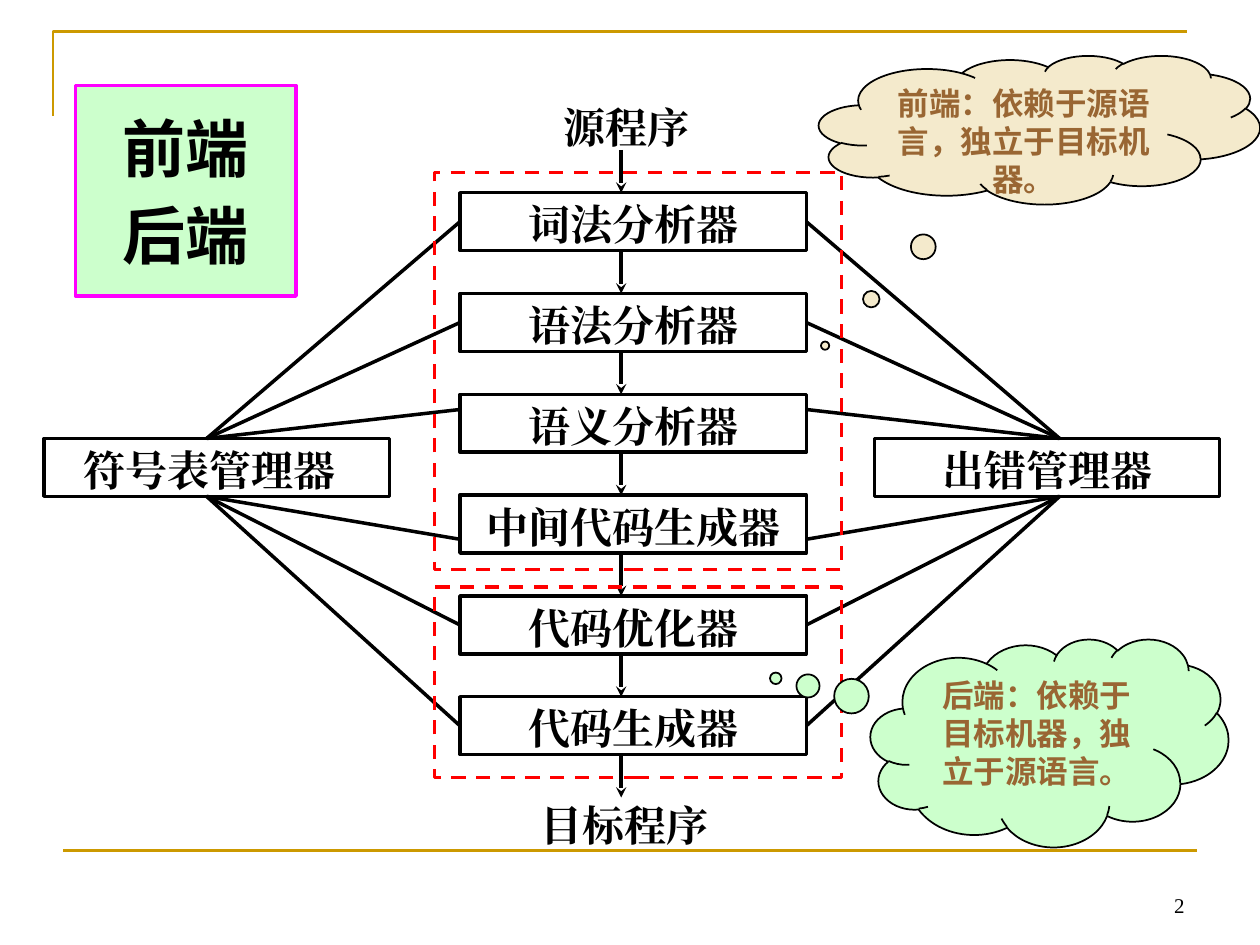
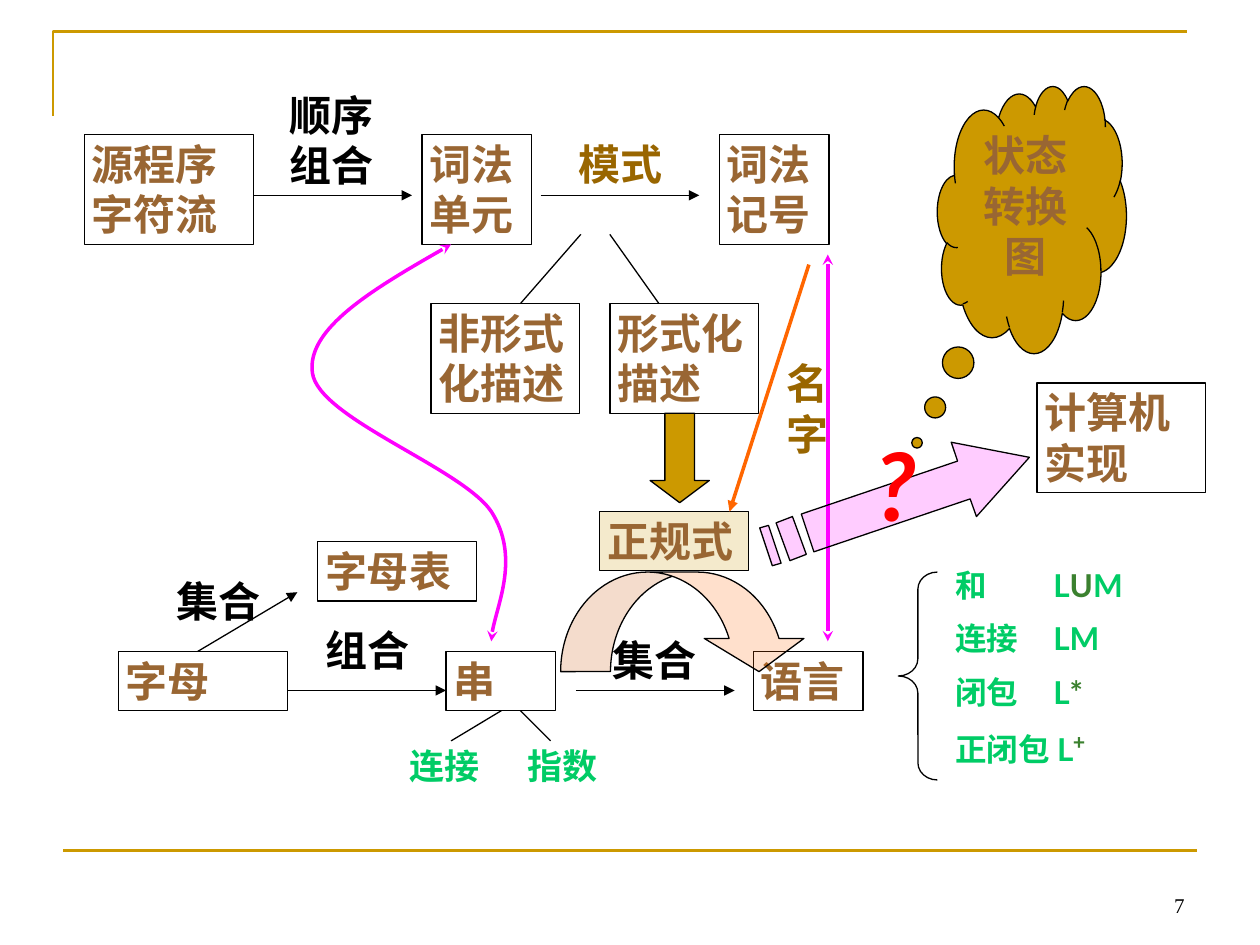
from dataclasses import dataclass
from typing import Any

from lxml import etree
from pptx import Presentation
from pptx.dml.color import RGBColor
from pptx.enum.dml import MSO_LINE
from pptx.enum.shapes import MSO_CONNECTOR, MSO_SHAPE as Preset
from pptx.enum.text import MSO_ANCHOR as Anchor, PP_ALIGN as Align
from pptx.oxml.ns import qn
from pptx.util import Inches, Pt

BLACK, GOLD, BROWN, OLIVE = "000000", "CC9900", "996633", "996600"
MAGENTA, RED, ORANGE = "FF00FF", "FF0000", "FF6600"
MINT, GREEN, DARK_GREEN = "CCFFCC", "00CC66", "3B812F"
LEFT_SIDE, RIGHT_SIDE = 1, 3
NARROW, ROOMY = (0.06, 0.03, 0.06, 0.03), (0.1, 0.05, 0.1, 0.05)
TERM_HEIGHT = {1: 0.47, 2: 0.87}


@dataclass
class Region:
    """A box on a page; everything placed in it is measured from its corner."""
    page: Any
    left: float = 0
    top: float = 0
    width: float = 10
    height: float = 7.5

    def point(self, x, y):
        return Inches(self.left + x), Inches(self.top + y)


def rgb(code):
    return RGBColor.from_string(code)


def set_line(shape, color=BLACK, weight=0.75, dash=None, head=None, tail=None):
    shape.line.color.rgb = rgb(color)
    shape.line.width = Pt(weight)
    if dash:
        shape.line.dash_style = dash
    outline = shape.element.spPr.find(qn("a:ln"))
    for tag, kind in (("a:headEnd", head), ("a:tailEnd", tail)):
        if kind:
            etree.SubElement(outline, qn(tag)).set("type", kind)


def set_fill(shape, color=None, opacity=100):
    if color is None:
        shape.fill.background()
        return
    shape.fill.solid()
    shape.fill.fore_color.rgb = rgb(color)
    if opacity < 100:
        tint = shape.element.spPr.find(qn("a:solidFill")).find(qn("a:srgbClr"))
        etree.SubElement(tint, qn("a:alpha")).set("val", str(opacity * 1000))


def write(shape, *paragraphs, size=24, font="Lato", color=BROWN, bold=True, italic=False,
          align=Align.LEFT, anchor=Anchor.TOP, insets=NARROW, wrap=True, gap=0, tab=None):
    """Fill a shape with paragraphs; each is a string or a list of (text, overrides)."""
    frame = shape.text_frame
    frame.word_wrap = wrap
    frame.vertical_anchor = anchor
    (frame.margin_left, frame.margin_top,
     frame.margin_right, frame.margin_bottom) = map(Inches, insets)
    for index, content in enumerate(paragraphs):
        para = frame.add_paragraph() if index else frame.paragraphs[0]
        para.alignment = align
        if index and gap:
            para.space_before = Pt(gap)
        if tab:
            tabs = etree.SubElement(para._p.get_or_add_pPr(), qn("a:tabLst"))
            etree.SubElement(tabs, qn("a:tab"), pos=str(Inches(tab)), algn="l")
        for text, changes in [(content, {})] if isinstance(content, str) else content:
            style = dict(size=size, font=font, color=color, raised=0) | changes
            span = para.add_run()
            span.text = text
            span.font.size = Pt(style["size"])
            span.font.bold, span.font.italic = bold, italic
            span.font.color.rgb = rgb(style["color"])
            span.font.name = style["font"]
            properties = span._r.get_or_add_rPr()
            etree.SubElement(properties, qn("a:ea")).set("typeface", style["font"])
            if style["raised"]:
                properties.set("baseline", str(style["raised"] * 1000))


def add_preset(region, kind, x, y, width, height, fill=None, opacity=100, adjust=(), **line):
    shape = region.page.shapes.add_shape(
        kind, *region.point(x, y), Inches(width), Inches(height))
    shape.shadow.inherit = False
    for index, value in enumerate(adjust):
        shape.adjustments[index] = value
    set_fill(shape, fill, opacity)
    set_line(shape, **line)
    return shape


def add_text(region, x, y, width, height, *paragraphs, **style):
    label = region.page.shapes.add_textbox(
        *region.point(x, y), Inches(width), Inches(height))
    write(label, *paragraphs, **style)


def add_line(region, start, end, **line):
    link = region.page.shapes.add_connector(
        MSO_CONNECTOR.STRAIGHT, *region.point(*start), *region.point(*end))
    set_line(link, **line)
    etree.SubElement(link.element.spPr, qn("a:effectLst"))
    return link


def add_outline(region, *contours, closed=False, fill=None, opacity=100, **line):
    builder = region.page.shapes.build_freeform(*region.point(*contours[0][0]))
    for index, contour in enumerate(contours):
        if index:
            builder.move_to(*region.point(*contour[0]))
        builder.add_line_segments([region.point(*spot) for spot in contour[1:]], close=closed)
    shape = builder.convert_to_shape()
    shape.shadow.inherit = False
    set_fill(shape, fill, opacity)
    set_line(shape, **line)
    return shape


def bend(shape):
    """Turn each three straight segments into one Bezier curve."""
    segments = list(shape.element.iter(qn("a:lnTo")))
    for index in range(0, len(segments), 3):
        curve = etree.Element(qn("a:cubicBezTo"))
        segments[index].addprevious(curve)
        for segment in segments[index:index + 3]:
            curve.append(segment[0])
            segment.getparent().remove(segment)


def add_page(deck, number):
    """Add a page with the gold rules and the page number."""
    page = deck.slides.add_slide(deck.slide_layouts[6])
    region = Region(page)
    add_outline(region, [(0.42, 0.92), (0.42, 0.25), (9.42, 0.25)], color=GOLD, weight=1.5)
    add_line(region, (0.5, 6.75), (9.5, 6.75), color=GOLD, weight=1.5)
    add_text(region, 7.17, 6.83, 2.33, 0.5, str(number), size=12, font="Times New Roman",
             color=BLACK, bold=False, align=Align.RIGHT, anchor=Anchor.BOTTOM, insets=ROOMY)
    return page


def add_cloud(region, text, fill, adjust, opacity=100, weight=1.0, **style):
    cloud = add_preset(region, Preset.CLOUD_CALLOUT, 0, 0, region.width, region.height,
                       fill, opacity, adjust, weight=weight)
    write(cloud, text, align=Align.CENTER, **style)


def draw_compiler(region):
    """Six phases in a column, with a manager on either side linked to all of them."""
    phases = ["词法分析器", "语法分析器", "语义分析器", "中间代码生成器", "代码优化器", "代码生成器"]
    pitch, width, height, left, first = 0.8, 2.75, 0.46, 3.3, 0.77
    label = dict(font="Times New Roman", color=BLACK, align=Align.CENTER)

    def add_part(x, y, part_width, text, insets=ROOMY):
        part = add_preset(region, Preset.RECTANGLE, x, y, part_width, height, weight=2)
        write(part, text, insets=insets, **label)
        return part

    tops = [first + pitch * index for index in range(len(phases))]
    boxes = [add_part(left, top, width, phase) for phase, top in zip(phases, tops)]
    add_text(region, 3.25, 0, 2.75, height, "源程序", insets=ROOMY, **label)
    add_text(region, 3.42, 5.54, 2.38, height, "目标程序", insets=ROOMY, **label)
    for top in [first - pitch] + tops:
        add_line(region, (4.58, top + height), (4.58, top + pitch), weight=2, tail="stealth")

    manager_top = 2.72
    sides = [("符号表管理器", 0, 1.29, left, LEFT_SIDE, (0.1, 0.05, 0.22, 0.05)),
             ("出错管理器", 6.59, 8.06, left + width, RIGHT_SIDE, ROOMY)]
    for name, x, hub, edge, side, insets in sides:
        add_part(x, manager_top, 2.74, name, insets)
        for index, (box, top) in enumerate(zip(boxes, tops)):
            shift = {2: -0.11, 3: 0.12}.get(index, 0)
            hub_y = manager_top + (0 if index < 3 else height)
            link = add_line(region, (edge, top + height / 2 + shift), (hub, hub_y), weight=2)
            if not shift:
                link.begin_connect(box, side)


def draw_ends(region):
    """Heading box and the dashed frames around the front end and the back end."""
    heading = add_preset(region, Preset.RECTANGLE, 0, 0, 1.75, 1.67, MINT,
                         color=MAGENTA, weight=2)
    write(heading, "前端", "后端", size=36, font="Courier New", color=BLACK, gap=7, wrap=False,
          align=Align.CENTER, anchor=Anchor.MIDDLE, insets=ROOMY)
    for top, height in ((0.69, 3.15), (3.98, 1.51)):
        add_preset(region, Preset.RECTANGLE, 2.85, top, 3.23, height,
                   color=RED, weight=2, dash=MSO_LINE.DASH)


def add_term(region, x, y, width, text, lines=1, **fill):
    term = add_preset(region, Preset.RECTANGLE, x, y, width, TERM_HEIGHT[lines], **fill)
    write(term, text)


def draw_tokens(region):
    """From the character stream to tokens, and from patterns to regular expressions."""
    for x, y, width, text in ((0, 0.39, 1.34, "源程序字符流"), (2.68, 0.39, 0.87, "词法单元"),
                              (5.04, 0.39, 0.87, "词法记号"), (2.75, 1.73, 1.18, "非形式化描述"),
                              (4.17, 1.73, 1.18, "形式化描述")):
        add_term(region, x, y, width, text, lines=2)
    add_term(region, 4.09, 3.38, 1.18, "正规式", fill=GOLD, opacity=20)
    add_text(region, 1.57, 0, 0.79, 1.66, "顺序组合", color=BLACK)
    add_text(region, 3.86, 0.39, 0.79, 0.86, "模式", color=OLIVE)
    for x in (1.34, 3.62):
        add_line(region, (x, 0.87), (x + 1.26, 0.87), tail="triangle")
    add_line(region, (3.94, 1.18), (3.46, 1.73))
    add_line(region, (4.17, 1.18), (4.56, 1.73))
    add_preset(region, Preset.DOWN_ARROW, 4.49, 2.6, 0.47, 0.71, GOLD, adjust=(0.5, 0.375))


def draw_alphabet(region):
    """From letters to strings and languages."""
    for x, y, width, text in ((0, 0.87, 1.34, "字母"), (2.6, 0.87, 0.87, "串"),
                              (5.04, 0.87, 0.87, "语言"), (1.58, 0, 1.26, "字母表")):
        add_term(region, x, y, width, text)
    for x, y, text in ((1.58, 0.63, "组合"), (3.86, 0.71, "集合"), (0.4, 0.24, "集合")):
        add_text(region, x, y, 0.79, 0.86, text, color=BLACK)
    for x in (1.34, 3.63):
        add_line(region, (x, 1.18), (x + 1.26, 1.18), tail="triangle")
    add_line(region, (0.63, 0.87), (1.42, 0.4), tail="triangle")
    add_line(region, (3.04, 1.34), (2.64, 1.58))
    add_line(region, (3.19, 1.34), (3.43, 1.58))
    add_text(region, 2.25, 1.58, 2.2, 0.4, "连接\t指数", size=20, color=GREEN, tab=0.94)


def draw_relations(region):
    """Links between the token row and the alphabet row."""
    add_preset(region, Preset.CURVED_DOWN_ARROW, 2.02, 2.6, 1.97, 0.79, ORANGE, 20,
               (0.501, 1.001, 0.333))
    add_line(region, (3.99, 0.16), (3.36, 2.12), color=ORANGE, weight=2, tail="triangle")
    add_text(region, 3.75, 0.87, 0.35, 0.86, "名字", color=OLIVE)
    both_ends = dict(color=MAGENTA, weight=2, head="stealth", tail="stealth")
    bend(add_outline(region, [(1.15, 0), (0.57, 0.33), (0, 0.67), (0.05, 1.02),
                              (0.1, 1.38), (1.23, 1.77), (1.47, 2.12),
                              (1.7, 2.48), (1.47, 2.96), (1.47, 3.15)], **both_ends))
    add_line(region, (4.14, 0.08), (4.14, 3.15), **both_ends)


def draw_operations(region):
    """Braced list of the operations on languages."""
    add_preset(region, Preset.LEFT_BRACE, 0, 0.08, 0.31, 1.65, adjust=(0.439, 0.5))
    dark = dict(color=DARK_GREEN)
    plus = dict(size=20, font="Noto Sans CJK SC", raised=30, **dark)
    add_text(region, 0.39, 0, 1.73, 1.72,
             [("和\tL", {}), ("U", dark), ("M", {})], "连接\tLM",
             [("闭包\tL", {}), ("*", dark)], [("正闭包 L", {}), ("+", plus)],
             size=18, color=GREEN, gap=9, tab=0.78)


def draw_implementation(region):
    """Striped arrow with a question mark, leading to the computer."""
    add_outline(region,
                [(1.53, 0.15), (1.58, 0.3), (0.34, 0.72), (0.44, 1.02),
                 (1.68, 0.6), (1.73, 0.74), (2.15, 0.27)],
                [(0.14, 0.79), (0.25, 1.09), (0.38, 1.04), (0.27, 0.74)],
                [(0.01, 0.83), (0.11, 1.13), (0.18, 1.11), (0.08, 0.81)],
                closed=True, fill=MAGENTA, opacity=20)
    add_text(region, 0.87, 0, 0.87, 0.96, "?", size=54, color=RED, italic=True)
    add_term(region, 2.21, -0.32, 1.34, "计算机实现", lines=2)


def main():
    deck = Presentation()
    deck.slide_width, deck.slide_height = Inches(10), Inches(7.5)

    phases = add_page(deck, 2)
    note = dict(size=18, insets=ROOMY)
    add_cloud(Region(phases, 6.5, 0.44, 3.5, 1.18), "前端：依赖于源语言，独立于目标机器。",
              GOLD, (-0.486, 1.452), opacity=20, **note)
    draw_compiler(Region(phases, 0.35, 0.76, 9.33, 6))
    draw_ends(Region(phases, 0.6, 0.68, 6.08, 5.49))
    add_cloud(Region(phases, 6.91, 5.07, 2.84, 1.65), "后端：依赖于目标机器，独立于源语言。",
              MINT, (-0.765, -0.31), **note)

    concepts = add_page(deck, 7)
    draw_tokens(Region(concepts, 0.67, 0.68, 5.91, 3.85))
    draw_alphabet(Region(concepts, 0.94, 4.3, 5.91, 1.98))
    draw_relations(Region(concepts, 2.43, 1.94, 4.14, 3.39))
    draw_operations(Region(concepts, 7.13, 4.46, 2.12, 1.73))
    draw_implementation(Region(concepts, 6.02, 3.36, 3.55, 1.13))
    add_cloud(Region(concepts, 7.44, 0.68, 1.5, 2.12), "状态转换图", GOLD,
              (-0.608, 0.837), weight=0.75)

    deck.save("out.pptx")


if __name__ == "__main__":
    main()
